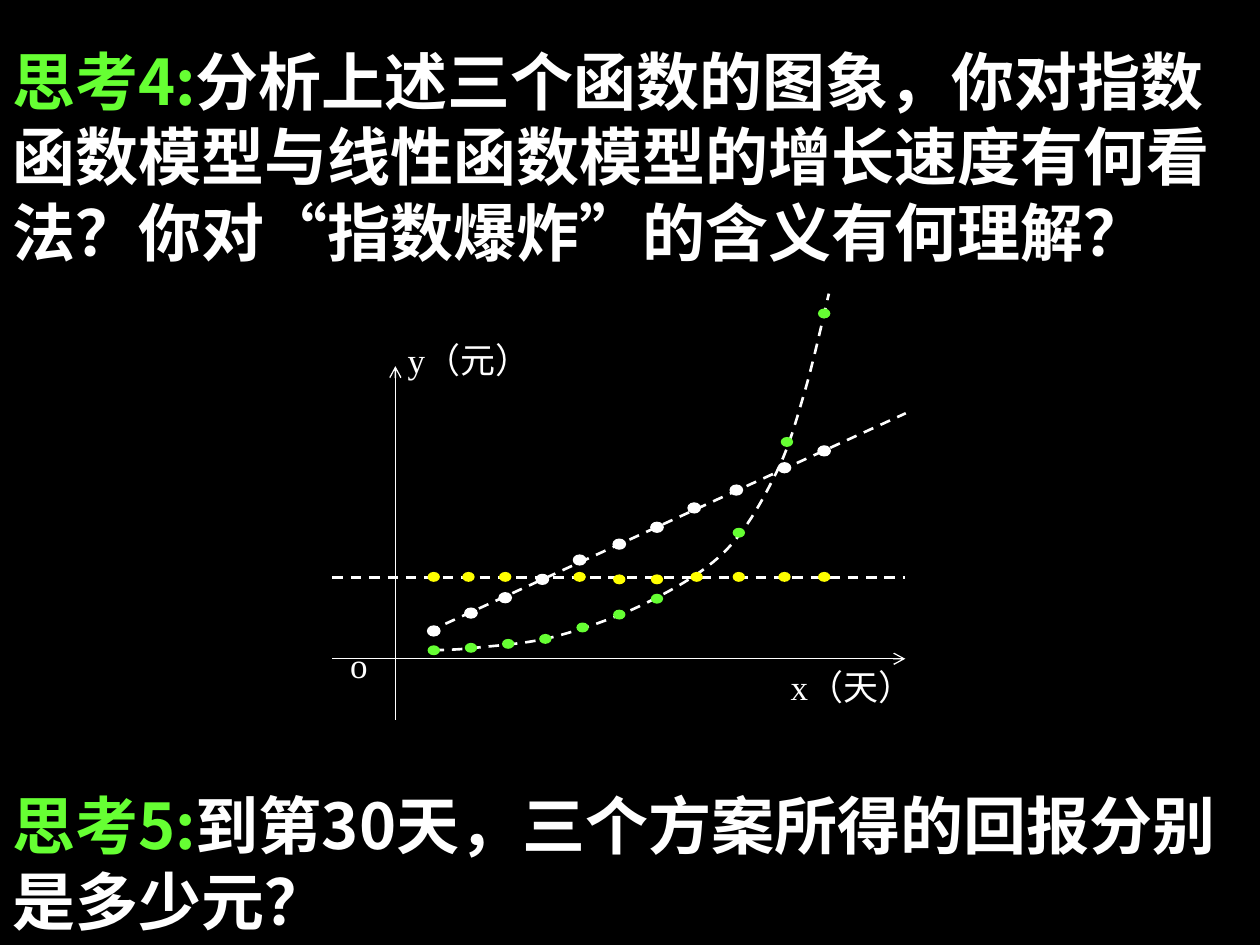
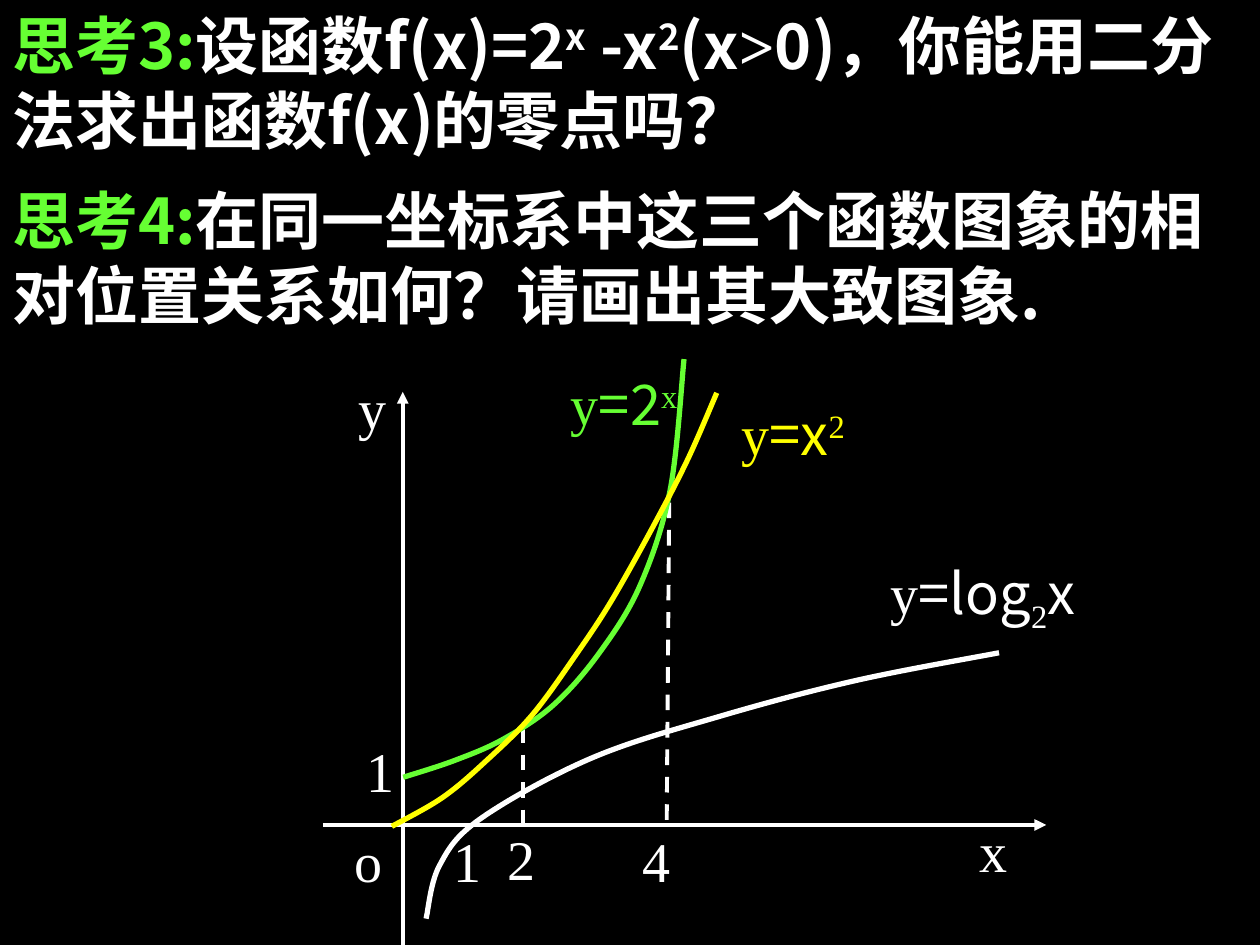
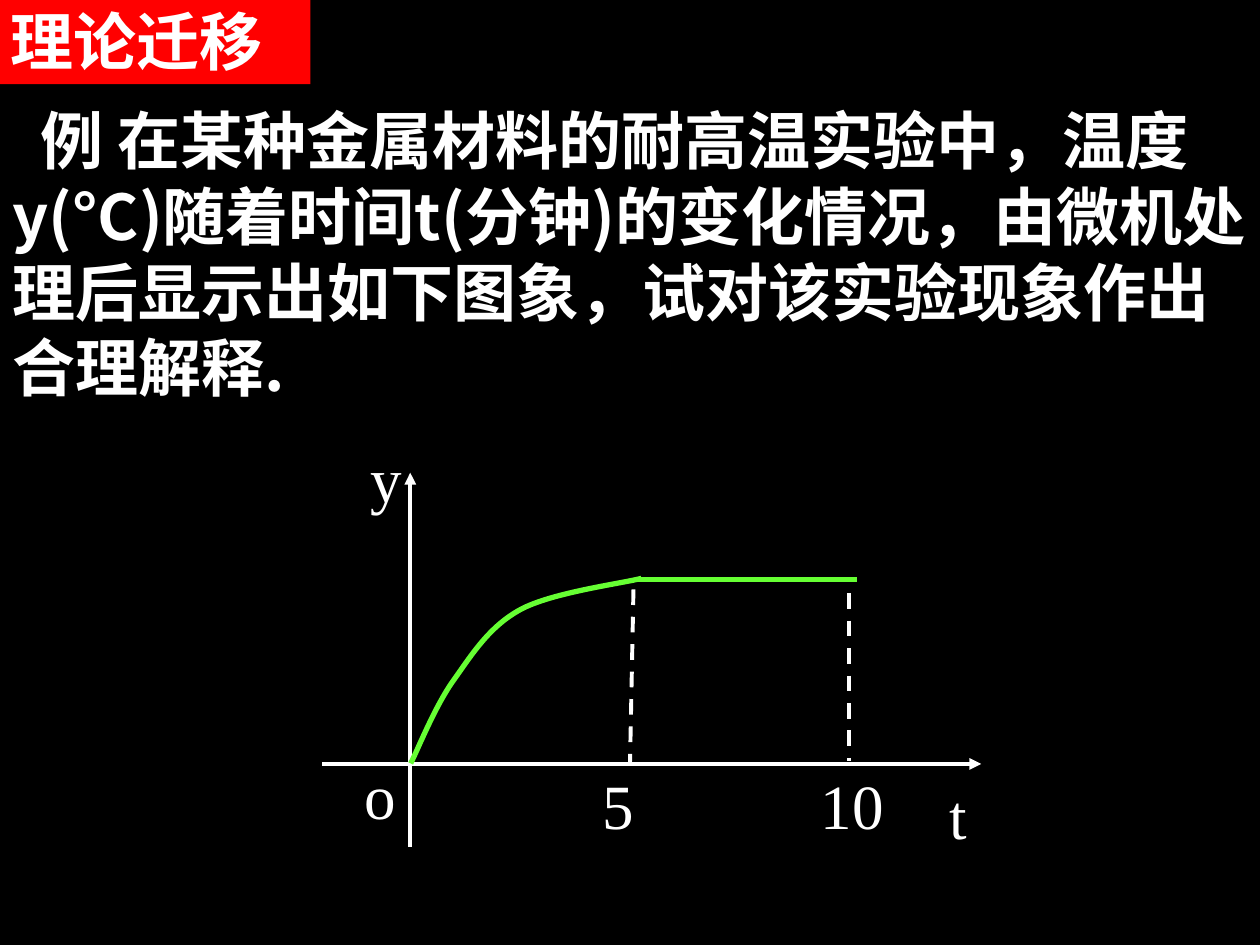
import lxml.etree
import pptx
import pptx.dml.color
import pptx.enum.dml
import pptx.enum.shapes
import pptx.enum.text
import pptx.oxml.ns
import pptx.util

Cm = pptx.util.Cm
COLORS = {
    "black": "000000",
    "white": "FFFFFF",
    "green": "66FF33",
    "yellow": "FFFF00",
    "red": "FF0000",
}
RGB = {name: pptx.dml.color.RGBColor.from_string(value) for name, value in COLORS.items()}
HAN = "Noto Sans CJK SC"
ROMAN = "Times New Roman"
SUPER, SUB = 30000, -25000
qn = pptx.oxml.ns.qn


def write_text(slide, box, runs, size=36, font=ROMAN, color="white", bold=False,
               fill=None, indent=0):
    frame = [Cm(length) for length in box]
    if fill:
        label = slide.shapes.add_shape(pptx.enum.shapes.MSO_SHAPE.RECTANGLE, *frame)
        label.shadow.inherit = False
        label.fill.solid()
        label.fill.fore_color.rgb = RGB[fill]
        label.line.fill.background()
    else:
        label = slide.shapes.add_textbox(*frame)
    label.text_frame.word_wrap = True
    label.text_frame.vertical_anchor = pptx.enum.text.MSO_ANCHOR.TOP
    paragraph = label.text_frame.paragraphs[0]
    paragraph.alignment = pptx.enum.text.PP_ALIGN.LEFT
    if indent:
        paragraph._p.get_or_add_pPr().set("indent", str(Cm(indent)))
    for words, style in runs:
        run = paragraph.add_run()
        run.text = words
        run.font.size = pptx.util.Pt(size)
        run.font.bold = bold
        run.font.color.rgb = RGB[style.get("color", color)]
        run.font.name = style.get("font", font)
        properties = run._r.get_or_add_rPr()
        properties.set("lang", "zh-CN")
        if "baseline" in style:
            properties.set("baseline", str(style["baseline"]))
        lxml.etree.SubElement(properties, qn("a:ea")).set("typeface", HAN)


def draw_stroke(slide, knots, color="white", width=2.25, dashed=False, arrow=None):
    if len(knots) == 2:
        (x1, y1), (x2, y2) = knots
        stroke = slide.shapes.add_connector(
            pptx.enum.shapes.MSO_CONNECTOR.STRAIGHT, Cm(x1), Cm(y1), Cm(x2), Cm(y2))
        lxml.etree.SubElement(stroke._element.spPr, qn("a:effectLst"))
    else:
        padded = [knots[0], *knots, knots[-1]]
        points = []
        for before, start, end, after in zip(padded, padded[1:], padded[2:], padded[3:]):
            points.append([Cm(s + (e - b) / 6) for b, s, e in zip(before, start, end)])
            points.append([Cm(e - (a - s) / 6) for s, e, a in zip(start, end, after)])
            points.append([Cm(e) for e in end])
        builder = slide.shapes.build_freeform(Cm(knots[0][0]), Cm(knots[0][1]))
        builder.add_line_segments(points, close=False)
        stroke = builder.convert_to_shape()
        segments = list(stroke._element.iter(qn("a:lnTo")))
        for leave, arrive, bend in zip(segments[::3], segments[1::3], segments[2::3]):
            bend.tag = qn("a:cubicBezTo")
            bend.insert(0, leave[0])
            bend.insert(1, arrive[0])
            bend.getparent().remove(leave)
            bend.getparent().remove(arrive)
        stroke.shadow.inherit = False
        stroke.fill.background()
    stroke.line.color.rgb = RGB[color]
    stroke.line.width = pptx.util.Pt(width)
    if dashed:
        stroke.line.dash_style = pptx.enum.dml.MSO_LINE.DASH
    if arrow:
        lxml.etree.SubElement(stroke.line._get_or_add_ln(), qn("a:tailEnd")).set("type", arrow)


deck = pptx.Presentation()
deck.slide_width, deck.slide_height = Cm(25.4), Cm(19.05)
deck.slide_master.background.fill.solid()
deck.slide_master.background.fill.fore_color.rgb = RGB["black"]
growth, comparison, example = [deck.slides.add_slide(deck.slide_layouts[6]) for _ in range(3)]

squared = {"baseline": SUPER}
questions = [
    (growth, 0.73, 4.83, "思考4:",
     [("分析上述三个函数的图象，你对指数函数模型与线性函数模型的增长速度有何看法？"
       "你对“指数爆炸”的含义有何理解？", {})]),
    (growth, 15.74, 3.3, "思考5:", [("到第30天，三个方案所得的回报分别是多少元？", {})]),
    (comparison, 0, 3.3, "思考3:",
     [("设函数f(x)=2", {}), ("x", squared), (" -x", {}), ("2", squared), ("(x", {}),
      (">", {"font": ROMAN}), ("0)，你能用二分法求出函数f(x)的零点吗？", {})]),
    (comparison, 3.53, 3.3, "思考4:",
     [("在同一坐标系中这三个函数图象的相对位置关系如何？请画出其大致图象.", {})]),
]
for slide, top, height, heading, question in questions:
    write_text(slide, (0, top, 25.4, height), [(heading, {"color": "green"}), *question],
               font=HAN, bold=True)

draw_stroke(growth, [(6.7, 13.28), (18.25, 13.28)], width=0.75, arrow="arrow")
draw_stroke(growth, [(7.97, 14.51), (7.97, 7.38)], width=0.75, arrow="arrow")
exponential = [(8.74, 13.11), (9.58, 13.06), (11.2, 12.83), (13.06, 12.14), (14.63, 11.1),
               (15.65, 9.53), (16.23, 7.87), (16.71, 5.92)]
for trend in ([(6.7, 11.64), (18.25, 11.64)], [(8.64, 12.73), (18.26, 8.33)], exponential):
    draw_stroke(growth, trend, width=1.5, dashed=True)

daily_returns = {
    "yellow": [(8.62, 11.53), (9.32, 11.53), (10.06, 11.53), (11.56, 11.53), (12.36, 11.58),
               (13.12, 11.58), (13.92, 11.53), (14.77, 11.53), (15.69, 11.53), (16.49, 11.53)],
    "green": [(8.62, 13.01), (9.37, 12.96), (10.12, 12.88), (10.87, 12.78), (11.62, 12.55),
              (12.36, 12.29), (13.12, 11.97), (14.77, 10.64), (15.74, 8.81), (16.49, 6.22)],
    "white": [(8.62, 12.62), (9.37, 12.26), (10.06, 11.95), (10.81, 11.58), (11.56, 11.19),
              (12.36, 10.87), (13.12, 10.53), (13.87, 10.14), (14.72, 9.78), (15.69, 9.33),
              (16.49, 8.99)],
}
for color, days in daily_returns.items():
    for left, top in days:
        day = growth.shapes.add_shape(
            pptx.enum.shapes.MSO_SHAPE.OVAL, Cm(left), Cm(top), Cm(0.25), Cm(0.2))
        day.shadow.inherit = False
        day.fill.solid()
        day.fill.fore_color.rgb = RGB[color]
        if color == "white":
            day.line.color.rgb = RGB[color]
            day.line.width = pptx.util.Pt(0.75)
        else:
            day.line.fill.background()

for words, box in [("x（天）", (15.69, 13.29, 3.2, 1.65)), ("y（元）", (7.97, 6.69, 3.2, 1.65)),
                   ("o", (6.81, 12.84, 1.7, 1.65))]:
    write_text(growth, box, [(words, {})], size=20)

for drop in ([(10.55, 14.66), (10.55, 16.61)], [(13.49, 10.13), (13.44, 16.56)]):
    draw_stroke(comparison, drop, dashed=True)
draw_stroke(comparison, [(6.51, 16.63), (21.09, 16.63)], arrow="triangle")
draw_stroke(comparison, [(8.12, 19.05), (8.12, 7.9)], arrow="triangle")
for words, left, top, width in [("x", 19.49, 16.33, 1.83), ("y", 6.97, 7.4, 1),
                                ("o", 6.9, 16.54, 1.19), ("1", 7.14, 14.73, 1),
                                ("1", 8.89, 16.54, 1.8), ("2", 9.98, 16.49, 1.75),
                                ("4", 12.7, 16.54, 2.44)]:
    write_text(comparison, (left, top, width, 1.47), [(words, {})], size=32)

han = {"font": HAN}
functions = [
    ("green", (11.26, 7.32, 2.79, 1.96), [("y", {}), ("=2", han), ("x", squared)],
     [(8.13, 15.67), (9.14, 15.34), (10.13, 14.91), (11.15, 14.22), (12.07, 13.18),
      (12.9, 11.81), (13.51, 9.88), (13.79, 7.24)]),
    ("yellow", (14.7, 7.92, 3, 1.98), [("y", {}), ("=x", han), ("2", squared)],
     [(7.9, 16.66), (8.92, 16.08), (9.8, 15.34), (10.74, 14.4), (11.66, 13.13),
      (12.34, 12.09), (13.18, 10.59), (13.87, 9.25), (14.45, 7.92)]),
    ("white", (17.7, 11.13, 4.85, 1.98),
     [("y", {}), ("=log", han), ("2", {"baseline": SUB}), ("x", han)],
     [(8.59, 18.52), (8.86, 17.45), (9.68, 16.51), (11.91, 15.29), (14.48, 14.45),
      (17.25, 13.72), (20.14, 13.16)]),
]
for color, box, formula, knots in functions:
    draw_stroke(comparison, knots, color=color, width=3)
    write_text(comparison, box, formula, size=32, color=color)

write_text(example, (-0.04, -0.08, 6.3, 1.78), [("理论迁移", {})], font="Arial", bold=True,
           fill="red")
write_text(example, (0, 1.93, 25.4, 6.35),
           [("例 在某种金属材料的耐高温实验中，温度y(°C)随着时间t(分钟)的变化情况，"
             "由微机处理后显示出如下图象，试对该实验现象作出合理解释.", {})],
           font=HAN, bold=True, indent=0.56)
for words, box, fill in [("y", (7.21, 8.74, 1.4, 2.21), "black"),
                         ("o", (7.1, 15.12, 1.4, 2.31), "black"),
                         ("t", (18.9, 15.52, 1.47, 1.78), None),
                         ("5", (11.9, 15.32, 1.45, 1.85), None),
                         ("10", (16.3, 15.32, 2.18, 2.01), None)]:
    write_text(example, box, [(words, {})], fill=fill)
draw_stroke(example, [(6.5, 15.4), (19.78, 15.4)], arrow="triangle")
draw_stroke(example, [(8.27, 17.07), (8.27, 9.53)], arrow="triangle")
for drop in ([(12.77, 11.88), (12.7, 15.39)], [(17.12, 11.96), (17.12, 15.34)]):
    draw_stroke(example, drop, dashed=True)
heating = [(8.28, 15.39), (9.14, 13.72), (10.49, 12.29), (12.93, 11.66)]
for stage in (heating, [(12.85, 11.68), (17.27, 11.68)]):
    draw_stroke(example, stage, color="green", width=3)

deck.save("out.pptx")
